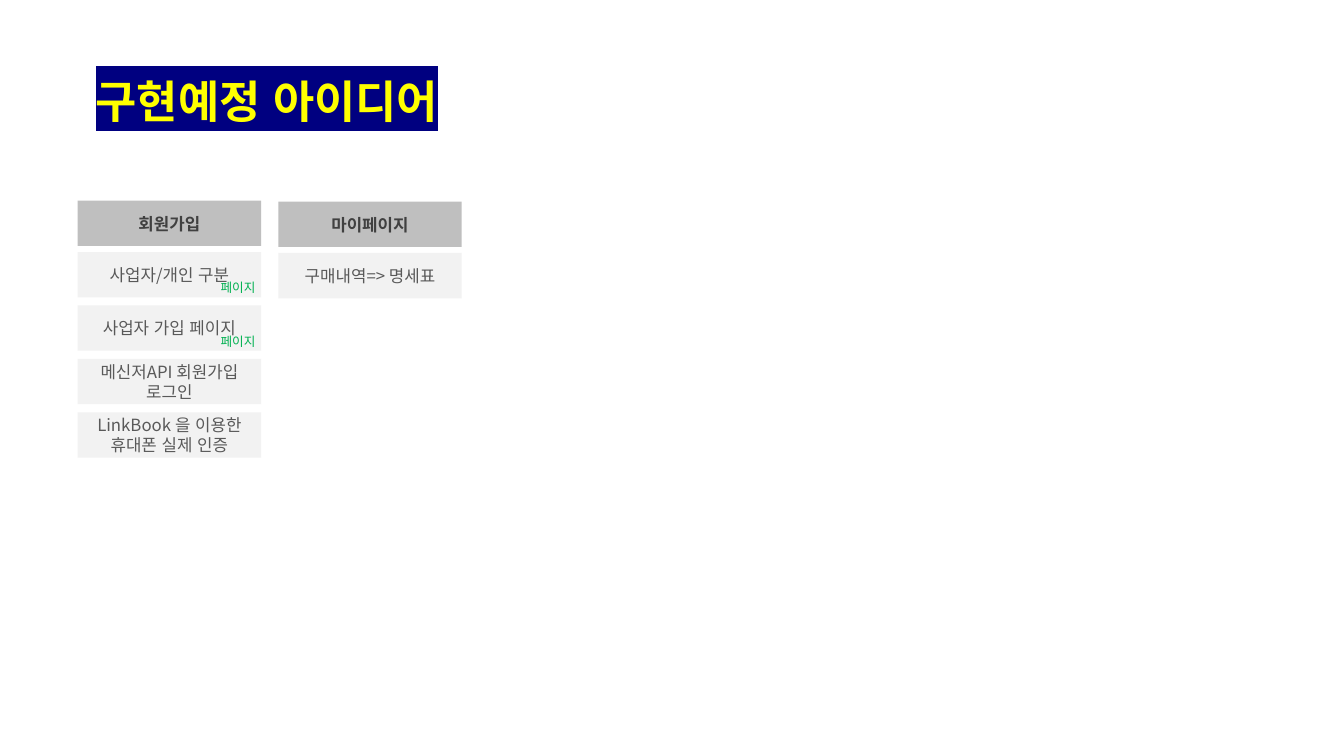
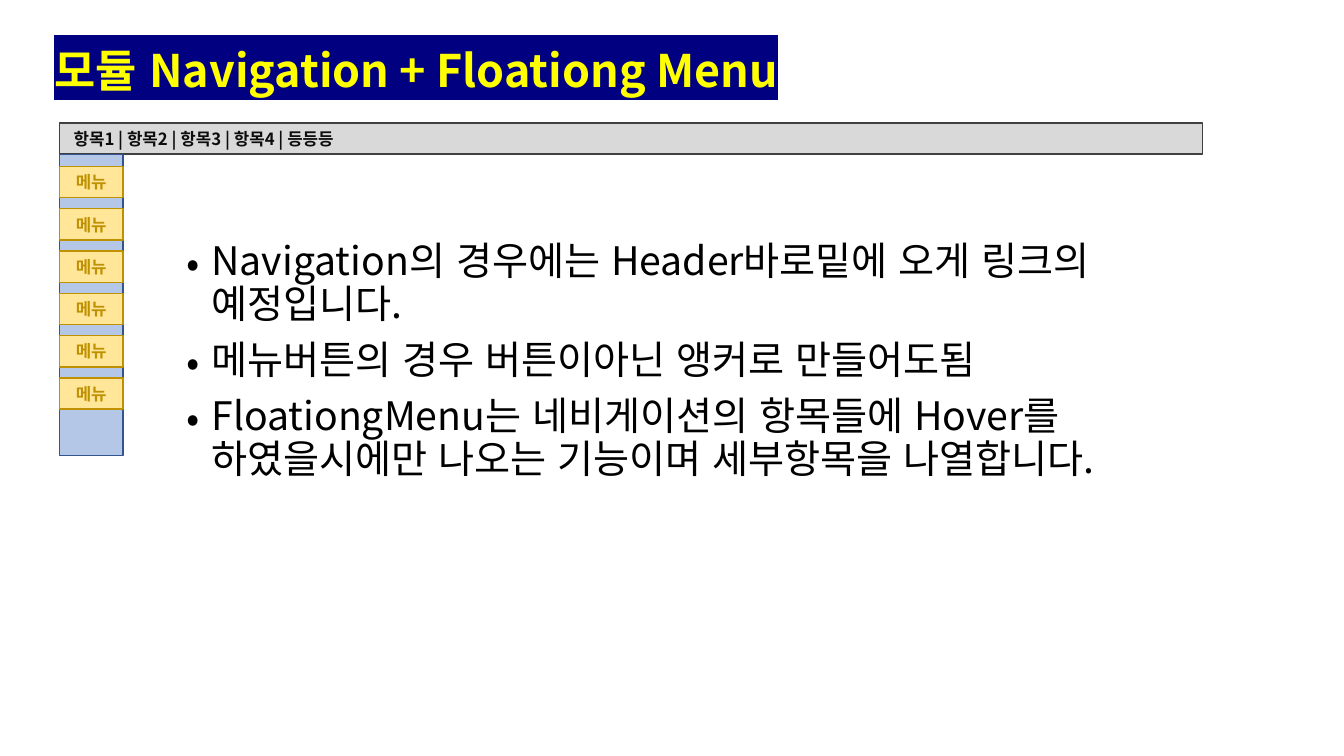
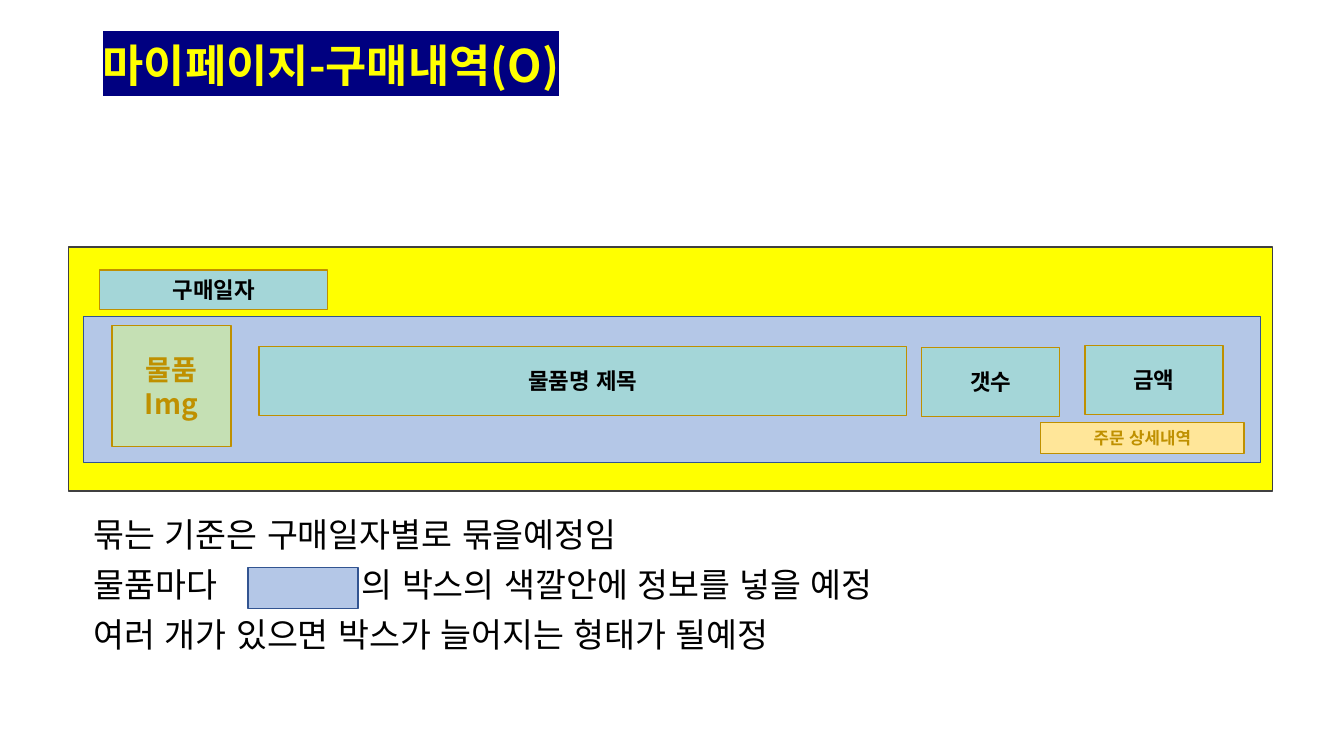
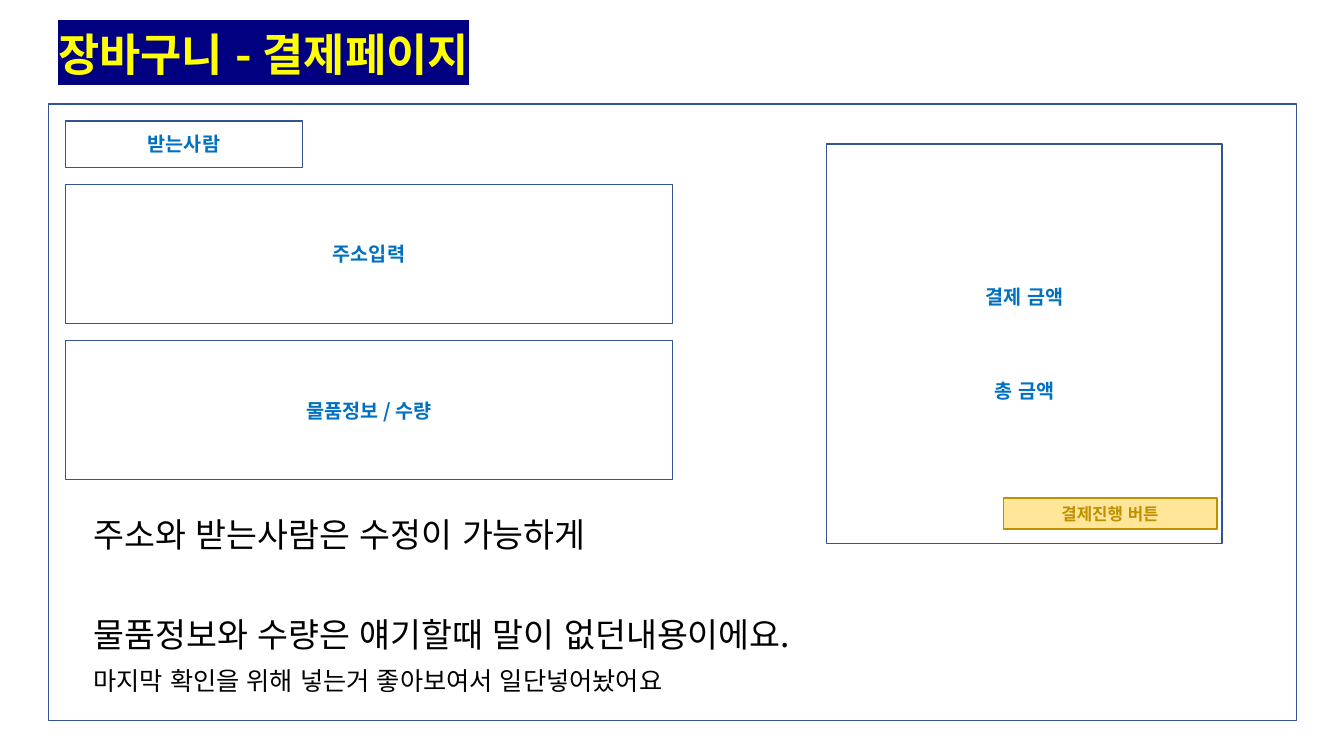
from dataclasses import dataclass

from lxml import etree
from pptx import Presentation
from pptx.dml.color import RGBColor
from pptx.enum.lang import MSO_LANGUAGE_ID
from pptx.enum.shapes import MSO_SHAPE
from pptx.enum.text import MSO_ANCHOR, PP_ALIGN
from pptx.oxml.ns import qn
from pptx.util import Inches, Pt

RECTANGLE = MSO_SHAPE.RECTANGLE
LEFT, CENTER = PP_ALIGN.LEFT, PP_ALIGN.CENTER
TOP, MIDDLE = MSO_ANCHOR.TOP, MSO_ANCHOR.MIDDLE
KOREAN = MSO_LANGUAGE_ID.KOREAN


@dataclass(frozen=True)
class Theme:
    font: str = "Noto Sans CJK KR"
    # Colours
    black: str = "000000"
    white: str = "FFFFFF"
    yellow: str = "FFFF00"
    navy: str = "000080"
    heading_fill: str = "BFBFBF"
    heading_text: str = "404040"
    item_fill: str = "F2F2F2"
    item_text: str = "595959"
    tag_text: str = "00B050"
    bar_fill: str = "D9D9D9"
    bar_text: str = "0D0D0D"
    dark_line: str = "404040"
    panel_fill: str = "B4C7E7"
    panel_line: str = "325491"
    button_fill: str = "FFE699"
    gold: str = "BF9000"
    field_fill: str = "A4D6D8"
    image_fill: str = "C5E0B4"
    form_text: str = "0070C0"
    # Type sizes
    title_size: int = 32
    body_size: int = 28
    note_size: int = 24
    image_size: int = 20
    small_note_size: int = 18
    field_size: int = 16
    form_size: int = 14
    label_size: int = 12
    tag_size: int = 9


THEME = Theme()


# Text helpers
def add_run(para, text, size, color, bold=False, highlight=None):
    span = para.add_run()
    span.text = text
    font = span.font
    font.size, font.bold, font.name = Pt(size), bold, THEME.font
    font.language_id = KOREAN
    font.color.rgb = RGBColor.from_string(color)
    properties = span._r.get_or_add_rPr()
    if highlight:
        mark = etree.Element(qn("a:highlight"))
        etree.SubElement(mark, qn("a:srgbClr"), val=highlight)
        properties.find(qn("a:solidFill")).addnext(mark)
    east_asian = etree.Element(qn("a:ea"), typeface=THEME.font)
    properties.find(qn("a:latin")).addnext(east_asian)


def next_paragraph(frame, index):
    return frame.add_paragraph() if index else frame.paragraphs[0]


def add_text_box(page, box, wrap=True):
    frame = page.shapes.add_textbox(*map(Inches, box)).text_frame
    frame.word_wrap = wrap
    frame.vertical_anchor = TOP
    return frame


def add_title(page, box, text):
    para = add_text_box(page, box).paragraphs[0]
    add_run(para, text, THEME.title_size, THEME.yellow, True, THEME.navy)


def add_body(page, box, lines, bullet=False, tab=None):
    """Each line is (text, size, points before)."""
    frame = add_text_box(page, box)
    for index, (text, size, before) in enumerate(lines):
        para = next_paragraph(frame, index)
        para.line_spacing = 0.9
        if index:
            para.space_before = Pt(before)
        properties = para._p.get_or_add_pPr()
        if bullet:
            properties.set("marL", str(Inches(0.25)))
            properties.set("indent", str(-Inches(0.25)))
            etree.SubElement(properties, qn("a:buFont"), typeface=THEME.font)
            etree.SubElement(properties, qn("a:buChar"), char="•")
        if tab:
            stops = etree.SubElement(properties, qn("a:tabLst"))
            etree.SubElement(stops, qn("a:tab"), pos=str(Inches(tab)), algn="l")
        add_run(para, text, size, THEME.black)


# Rectangles
def add_rectangle(page, box, fill, line=None, lines=(), size=THEME.label_size,
                  color=THEME.black, bold=True, align=CENTER, gap=0):
    shape = page.shapes.add_shape(RECTANGLE, *map(Inches, box))
    shape.shadow.inherit = False
    shape.fill.solid()
    shape.fill.fore_color.rgb = RGBColor.from_string(fill)
    if line:
        shape.line.color.rgb = RGBColor.from_string(line)
        shape.line.width = Pt(1)
    else:
        shape.line.fill.background()
    frame = shape.text_frame
    frame.word_wrap = True
    frame.vertical_anchor = MIDDLE
    for index, text in enumerate(lines):
        para = next_paragraph(frame, index)
        para.alignment = align
        if index and gap:
            para.space_before = Pt(gap)
        add_run(para, text, size, color, bold)
    return shape


def add_button(page, box, text):
    add_rectangle(page, box, THEME.button_fill, THEME.gold, [text], color=THEME.gold)


def add_panel(page, box):
    add_rectangle(page, box, THEME.panel_fill, THEME.panel_line)


def add_field(page, box, text):
    add_rectangle(page, box, THEME.field_fill, THEME.gold, [text], THEME.field_size)


def add_form_box(page, box, *lines, gap=0):
    add_rectangle(page, box, THEME.white, THEME.panel_line, lines,
                  THEME.form_size, THEME.form_text, gap=gap)


# Regions
def add_idea_column(page, left, top, heading, items):
    """Each item is (text, tag or None)."""
    width, height, pitch = 1.82, 0.45, 0.53
    add_rectangle(page, (left, top, width, height), THEME.heading_fill,
                  lines=[heading], color=THEME.heading_text)
    for index, (text, tag) in enumerate(items):
        item_top = top + 0.51 + index * pitch
        add_rectangle(page, (left, item_top, width, height), THEME.item_fill,
                      lines=[text], color=THEME.item_text, bold=False)
        if tag:
            frame = add_text_box(page, (left + 1.3, item_top + 0.23, 0.58, 0.25), False)
            para = frame.paragraphs[0]
            para.alignment = CENTER
            add_run(para, tag, THEME.tag_size, THEME.tag_text)


def add_navigation(page, left, top, width, text, buttons):
    bar_height, menu_width, pitch = 0.31, 0.63, 0.42
    bar = add_rectangle(page, (left, top, width, bar_height), THEME.bar_fill,
                        THEME.dark_line, [text], color=THEME.bar_text, align=LEFT)
    bar.text_frame.margin_left = Inches(0.14)
    add_panel(page, (left, top + bar_height, menu_width, 2.99))
    for index in range(buttons):
        button_top = top + 0.43 + index * pitch
        add_button(page, (left, button_top, menu_width, bar_height), "메뉴")


def add_order_card(page, left, top):
    add_rectangle(page, (left, top, 11.94, 2.42), THEME.yellow, THEME.dark_line)
    add_panel(page, (left + 0.15, top + 0.69, 11.67, 1.45))
    add_button(page, (left + 9.64, top + 1.74, 2.02, 0.31), "주문 상세내역")
    add_rectangle(page, (left + 0.43, top + 0.78, 1.18, 1.2), THEME.image_fill,
                  THEME.gold, ["물품", "Img"], THEME.image_size, THEME.gold)
    for x, y, width, height, text in (
        (0.31, 0.23, 2.26, 0.39, "구매일자"),
        (1.89, 0.99, 6.42, 0.68, "물품명 제목"),
        (8.46, 1, 1.37, 0.68, "갯수"),
        (10.08, 0.98, 1.37, 0.68, "금액"),
    ):
        add_field(page, (left + x, top + y, width, height), text)


def add_payment_form(page, left, top):
    add_form_box(page, (left, top, 12.38, 6.12))
    add_form_box(page, (left + 0.17, top + 0.17, 2.35, 0.46), "받는사람")
    for index, text in enumerate(("주소입력", "물품정보 / 수량")):
        add_form_box(page, (left + 0.17, top + 0.8 + index * 1.55, 6.02, 1.38), text)
    add_form_box(page, (left + 7.72, top + 0.4, 3.92, 3.96),
                 "결제 금액", "총 금액", gap=51)
    add_button(page, (left + 9.47, top + 3.91, 2.12, 0.31), "결제진행 버튼")


# Slides
def build_ideas(page):
    add_title(page, (0.85, 0.68, 4.52, 0.64), "구현예정 아이디어")
    add_idea_column(page, 0.77, 1.99, "회원가입", [
        ("사업자/개인 구분", "페이지"),
        ("사업자 가입 페이지", "페이지"),
        ("메신저API 회원가입 로그인", None),
        ("LinkBook 을 이용한 휴대폰 실제 인증", None),
    ])
    add_idea_column(page, 2.76, 2, "마이페이지", [("구매내역=> 명세표", None)])


def build_navigation(page):
    size = THEME.body_size
    add_body(page, (1.75, 2.35, 10.51, 4.35), [
        ("Navigation의 경우에는 Header바로밑에 오게 링크의 예정입니다.", size, 0),
        ("메뉴버튼의 경우 버튼이아닌 앵커로 만들어도됨", size, 10),
        ("FloationgMenu는 네비게이션의 항목들에 Hover를 하였을시에만 "
         "나오는 기능이며 세부항목을 나열합니다.", size, 10),
    ], bullet=True)
    add_title(page, (0.44, 0.37, 7.78, 0.64), "모듈 Navigation + Floationg Menu")
    add_navigation(page, 0.59, 1.22, 11.34, "항목1 | 항목2 | 항목3 | 항목4 | 등등등", 6)


def build_purchases(page):
    size = THEME.note_size
    add_title(page, (0.92, 0.33, 5.84, 0.64), "마이페이지-구매내역(O)")
    add_order_card(page, 0.68, 2.45)
    # The tab stop leaves room for the sample box inside the sentence
    add_body(page, (0.83, 5.09, 11.5, 2.4), [
        ("묶는 기준은 구매일자별로 묶을예정임", size, 0),
        ("물품마다\t의 박스의 색깔안에 정보를 넣을 예정", size, 10),
        ("여러 개가 있으면 박스가 늘어지는 형태가 될예정", size, 10),
    ], tab=2.66)
    add_panel(page, (2.46, 5.63, 1.09, 0.41))


def build_payment(page):
    size = THEME.note_size
    add_payment_form(page, 0.48, 1.03)
    add_title(page, (0.48, 0.22, 5.84, 0.64), "장바구니 - 결제페이지")
    add_body(page, (0.83, 5.09, 11.5, 2.4), [
        ("주소와 받는사람은 수정이 가능하게", size, 0),
        ("물품정보와 수량은 얘기할때 말이 없던내용이에요.", size, 46),
        ("마지막 확인을 위해 넣는거 좋아보여서 일단넣어놨어요",
         THEME.small_note_size, 10),
    ])


def main():
    deck = Presentation()
    deck.slide_width, deck.slide_height = Inches(13.33), Inches(7.5)
    blank = deck.slide_layouts[6]
    for build in (build_ideas, build_navigation, build_purchases, build_payment):
        build(deck.slides.add_slide(blank))
    deck.save("out.pptx")


if __name__ == "__main__":
    main()
